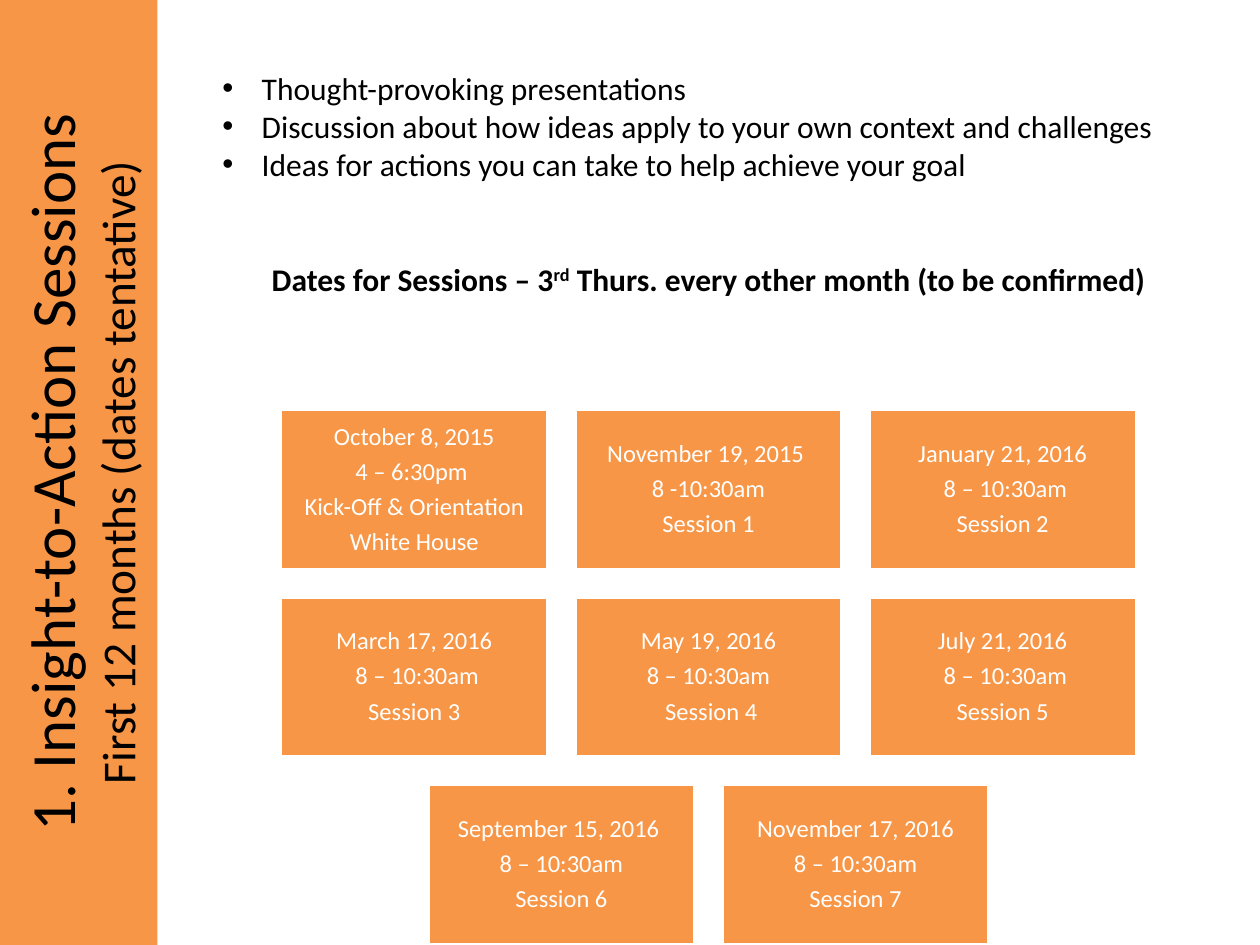
from dataclasses import dataclass

from lxml.etree import SubElement
from pptx import Presentation
from pptx.dml.color import RGBColor
from pptx.enum.shapes import MSO_SHAPE
from pptx.enum.text import MSO_ANCHOR, PP_ALIGN
from pptx.oxml.ns import qn
from pptx.util import Pt

FONT = "Calibri"
ORANGE, WHITE, BLACK = "F79646", "FFFFFF", "000000"
CARD_WIDTH, CARD_HEIGHT, CARD_GAP = 152.8, 91.7, 15.3
GRID_CENTER, GRID_TOP = 404.9, 234


@dataclass
class Session:
    """One dated session, shown as a card."""
    date: str
    time: str
    details: list[str]


SESSION_ROWS = [
    [
        Session("October 8, 2015", "4 – 6:30pm ",
                ["Kick-Off & Orientation", "White House"]),
        Session("November 19, 2015 ", "8 -10:30am", ["Session 1"]),
        Session("January 21, 2016", " 8 – 10:30am", ["Session 2"]),
    ],
    [
        Session("March 17, 2016", " 8 – 10:30am", ["Session 3"]),
        Session("May 19, 2016", "8 – 10:30am", [" Session 4"]),
        Session("July 21, 2016", " 8 – 10:30am", ["Session 5"]),
    ],
    [
        Session("September 15, 2016 ", "8 – 10:30am", ["Session 6"]),
        Session("November 17, 2016", "8 – 10:30am", ["Session 7"]),
    ],
]

BENEFITS = [
    "Thought-provoking presentations",
    "Discussion about how ideas apply to your own context and challenges ",
    "Ideas for actions you can take to help achieve your goal",
]


def color(hex_value: str) -> RGBColor:
    """Turn a hex string into a colour."""
    return RGBColor.from_string(hex_value)


def style_run(run, size: float, hex_value: str, bold: bool = False) -> None:
    """Set the font, size, colour and weight of a run."""
    run.font.name = FONT
    run.font.size = Pt(size)
    run.font.bold = bold
    run.font.color.rgb = color(hex_value)


def add_panel(slide, left: float, top: float, width: float, height: float):
    """Add a flat orange rectangle with vertically centred text."""
    panel = slide.shapes.add_shape(
        MSO_SHAPE.RECTANGLE, Pt(left), Pt(top), Pt(width), Pt(height))
    panel.shadow.inherit = False
    panel.fill.solid()
    panel.fill.fore_color.rgb = color(ORANGE)
    panel.line.fill.background()
    panel.text_frame.word_wrap = True
    panel.text_frame.vertical_anchor = MSO_ANCHOR.MIDDLE
    return panel


def add_title(slide) -> None:
    """Add the rotated title band along the left edge."""
    band = add_panel(slide, -225, 225, 540, 90)
    band.rotation = 270
    title = band.text_frame.paragraphs[0]
    title.text = "1. Insight-to-Action Sessions\vFirst 12 months (dates tentative)"
    title.alignment = PP_ALIGN.CENTER
    for run, size in zip(title.runs, (36, 27)):
        style_run(run, size, BLACK)


def add_card(slide, session: Session, left: float, top: float) -> None:
    """Add the card of one session."""
    card = add_panel(slide, left, top, CARD_WIDTH, CARD_HEIGHT)
    card.line.color.rgb = color(WHITE)
    card.line.width = Pt(2)
    frame = card.text_frame
    frame.margin_left = frame.margin_right = Pt(4.2)
    frame.margin_top = frame.margin_bottom = Pt(4.2)
    frame.text = "\n".join([session.date, session.time, *session.details])
    for paragraph in frame.paragraphs:
        paragraph.alignment = PP_ALIGN.CENTER
        paragraph.line_spacing = 0.9
        paragraph.space_after = Pt(4.9)
        style_run(paragraph.runs[0], 14, WHITE)


def add_schedule(slide) -> None:
    """Lay out the session cards in centred rows."""
    for row, sessions in enumerate(SESSION_ROWS):
        row_width = len(sessions) * (CARD_WIDTH + CARD_GAP) - CARD_GAP
        row_left = GRID_CENTER - row_width / 2
        top = GRID_TOP + row * (CARD_HEIGHT + CARD_GAP)
        for column, session in enumerate(sessions):
            left = row_left + column * (CARD_WIDTH + CARD_GAP)
            add_card(slide, session, left, top)


def add_bullet(paragraph) -> None:
    """Give a paragraph a round bullet with a hanging indent."""
    properties = paragraph._p.get_or_add_pPr()
    properties.set("marL", str(Pt(22.5)))
    properties.set("indent", str(Pt(-22.5)))
    SubElement(properties, qn("a:buFont")).set("typeface", "Arial")
    SubElement(properties, qn("a:buChar")).set("char", "•")


def add_overview(slide) -> None:
    """Add the bulleted benefits and the heading of the schedule."""
    overview = slide.shapes.add_textbox(Pt(120), Pt(36), Pt(570), Pt(160))
    frame = overview.text_frame
    frame.word_wrap = True
    frame.text = "\n".join(BENEFITS)
    for benefit in frame.paragraphs:
        add_bullet(benefit)
        style_run(benefit.runs[0], 18, BLACK)

    heading = frame.add_paragraph()
    heading.alignment = PP_ALIGN.CENTER
    heading.space_before = Pt(44)
    for part in ("Dates for Sessions – 3", "rd",
                 " Thurs. every other month (to be confirmed)"):
        run = heading.add_run()
        run.text = part
        style_run(run, 18, BLACK, bold=True)
    ordinal = heading.runs[1]
    ordinal._r.get_or_add_rPr().set("baseline", "30000")


def main() -> None:
    """Build the slide and save it."""
    presentation = Presentation()
    presentation.slide_width = Pt(720)
    presentation.slide_height = Pt(540)
    slide = presentation.slides.add_slide(presentation.slide_layouts[6])
    add_title(slide)
    add_schedule(slide)
    add_overview(slide)
    presentation.save("out.pptx")


main()
